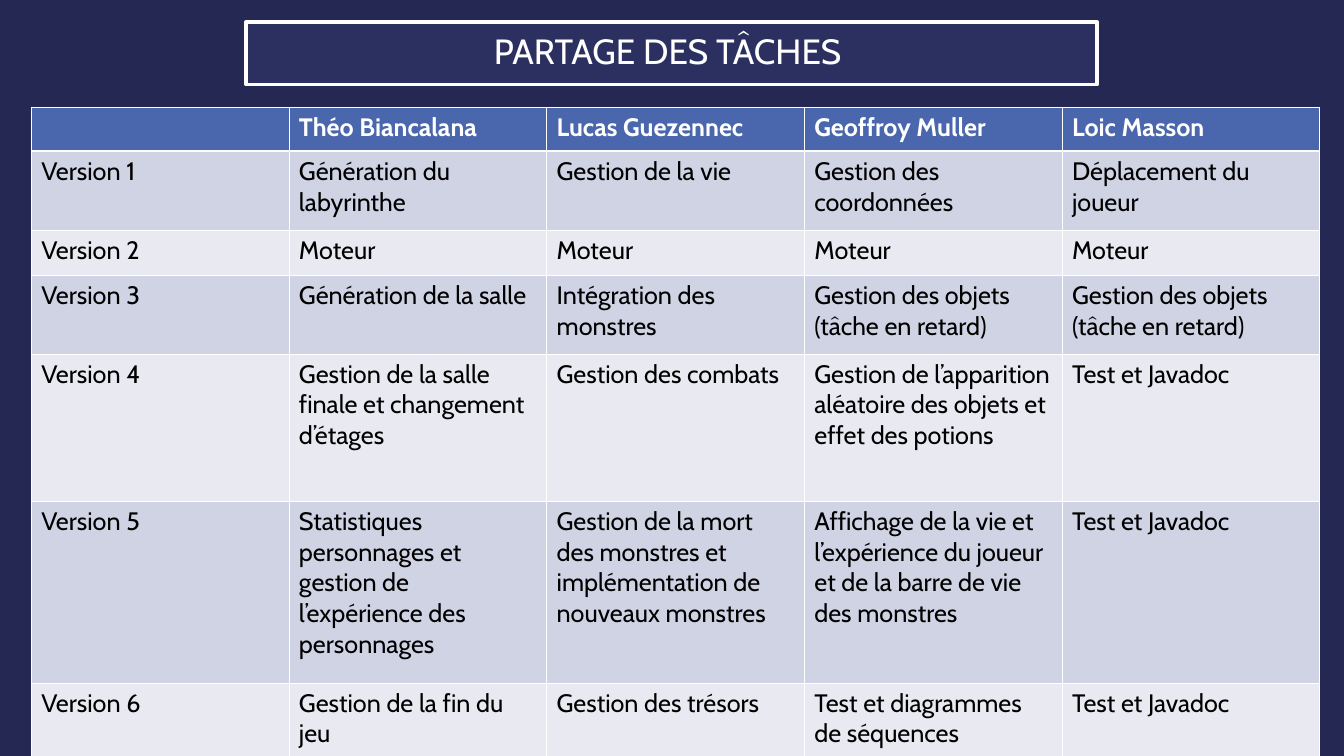
from typing import NamedTuple

from lxml.etree import SubElement as Sub
from pptx import Presentation
from pptx.dml.color import RGBColor as Rgb
from pptx.enum.text import MSO_ANCHOR as Anchor, MSO_AUTO_SIZE as Fit, PP_ALIGN as Align
from pptx.oxml.ns import qn
from pptx.util import Pt

FONT = "Cabin"
WHITE = Rgb(0xFF, 0xFF, 0xFF)
BLACK = Rgb(0x00, 0x00, 0x00)
NAVY = Rgb(0x24, 0x28, 0x52)
VIOLET = Rgb(0x5C, 0x64, 0xB7)
BLUE = Rgb(0x4A, 0x66, 0xAC)
DARK = Rgb(0xD0, 0xD3, 0xE3)
LIGHT = Rgb(0xE9, 0xEA, 0xF1)
THIN, THICK = 0.45, 1.47
WIDTH = 184.18


class Row(NamedTuple):
    height: float
    cells: tuple[str, ...]


ROWS = [
    Row(31.7, ("", "Théo Biancalana", "Lucas Guezennec", "Geoffroy Muller", "Loic Masson")),
    Row(56.4, ("Version 1", "Génération du labyrinthe", "Gestion de la vie",
               "Gestion des coordonnées", "Déplacement du joueur")),
    Row(31.9, ("Version 2",) + ("Moteur",) * 4),
    Row(56.4, ("Version 3", "Génération de la salle", "Intégration des monstres",
               "Gestion des objets (tâche en retard)",
               "Gestion des objets\n(tâche en retard)")),
    Row(105.1, ("Version 4", "Gestion de la salle finale et changement d’étages",
                "Gestion des combats",
                "Gestion de l’apparition aléatoire des objets et effet des potions",
                "Test et Javadoc")),
    Row(129.9, ("Version 5",
                "Statistiques personnages et gestion de l’expérience des personnages",
                "Gestion de la mort des monstres et implémentation de nouveaux monstres",
                "Affichage de la vie et l’expérience du joueur et de la barre de vie des monstres",
                "Test et Javadoc")),
    Row(56.4, ("Version 6", "Gestion de la fin du jeu", "Gestion des trésors",
               "Test et diagrammes de séquences", "Test et Javadoc")),
]


def write(para, text: str, size: float, color: Rgb, bold: bool = False) -> None:
    run = para.add_run()
    run.text = text
    font = run.font
    font.name, font.size, font.bold = FONT, Pt(size), bold
    font.color.rgb = color


def edge(cell, side: str, width: float) -> None:
    props = cell._tc.get_or_add_tcPr()
    line = Sub(props, qn(f"a:ln{side}"), w=str(Pt(width)))
    Sub(Sub(line, qn("a:solidFill")), qn("a:srgbClr"), val=str(WHITE))


def draw_cell(cell, text: str, row: int) -> None:
    for side in "LRTB":
        heavy = (row, side) in ((0, "B"), (1, "T"))
        edge(cell, side, THICK if heavy else THIN)
    head = row == 0
    cell.fill.solid()
    cell.fill.fore_color.rgb = BLUE if head else DARK if row % 2 else LIGHT
    frame = cell.text_frame
    for num, part in enumerate(text.split("\n") if text else []):
        para = frame.add_paragraph() if num else frame.paragraphs[0]
        write(para, part, 18, WHITE if head else BLACK, head)


def draw_table(slide) -> None:
    cols = len(ROWS[0].cells)
    high = sum(row.height for row in ROWS)
    table = slide.shapes.add_table(
        len(ROWS), cols, Pt(22.3), Pt(76.4), Pt(WIDTH * cols), Pt(high)).table
    for col in table.columns:
        col.width = Pt(WIDTH)
    for r, row in enumerate(ROWS):
        table.rows[r].height = Pt(row.height)
        for c, text in enumerate(row.cells):
            draw_cell(table.cell(r, c), text, r)


def draw_title(slide) -> None:
    title = slide.shapes.title
    title.left, title.top, title.width, title.height = Pt(175.7), Pt(15.8), Pt(608.4), Pt(44.6)
    title.fill.solid()
    title.fill.fore_color.rgb = VIOLET
    tint = title.fill._xPr.find(f"{qn('a:solidFill')}/{qn('a:srgbClr')}")
    Sub(tint, qn("a:alpha"), val="15000")
    title.line.color.rgb = WHITE
    title.line.width = Pt(2.5)
    frame = title.text_frame
    frame.auto_size = Fit.NONE
    frame.word_wrap = True
    frame.vertical_anchor = Anchor.MIDDLE
    frame.margin_left = frame.margin_right = Pt(14.4)
    frame.margin_top = frame.margin_bottom = Pt(14.4)
    para = frame.paragraphs[0]
    para.alignment = Align.CENTER
    para.line_spacing = 0.9
    write(para, "PARTAGE DES TÂCHES ", 25, WHITE)


def main() -> None:
    deck = Presentation()
    deck.slide_width, deck.slide_height = Pt(960.48), Pt(540)
    slide = deck.slides.add_slide(deck.slide_layouts[5])
    back = slide.background.fill
    back.solid()
    back.fore_color.rgb = NAVY
    draw_title(slide)
    draw_table(slide)
    deck.save("out.pptx")


if __name__ == "__main__":
    main()
